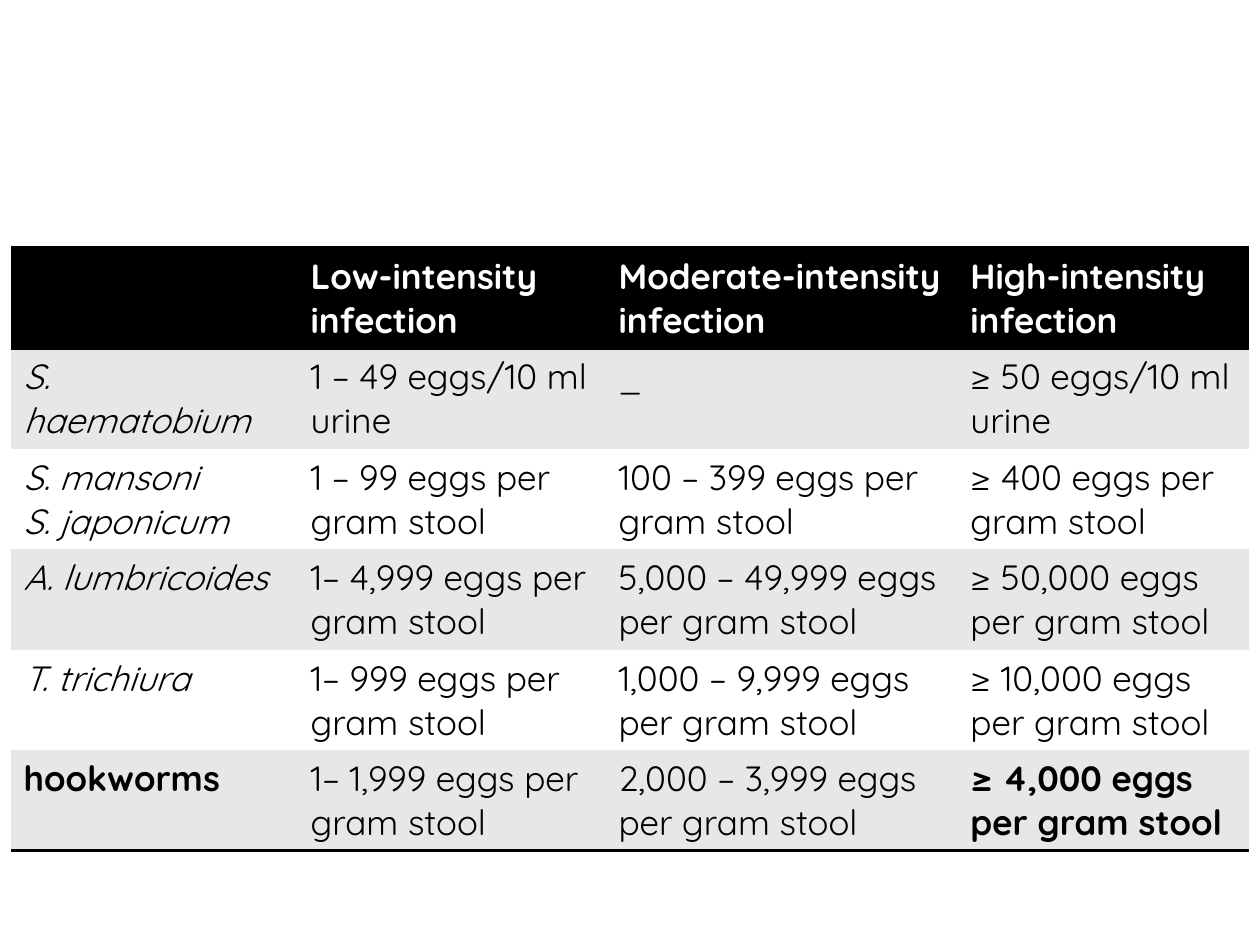
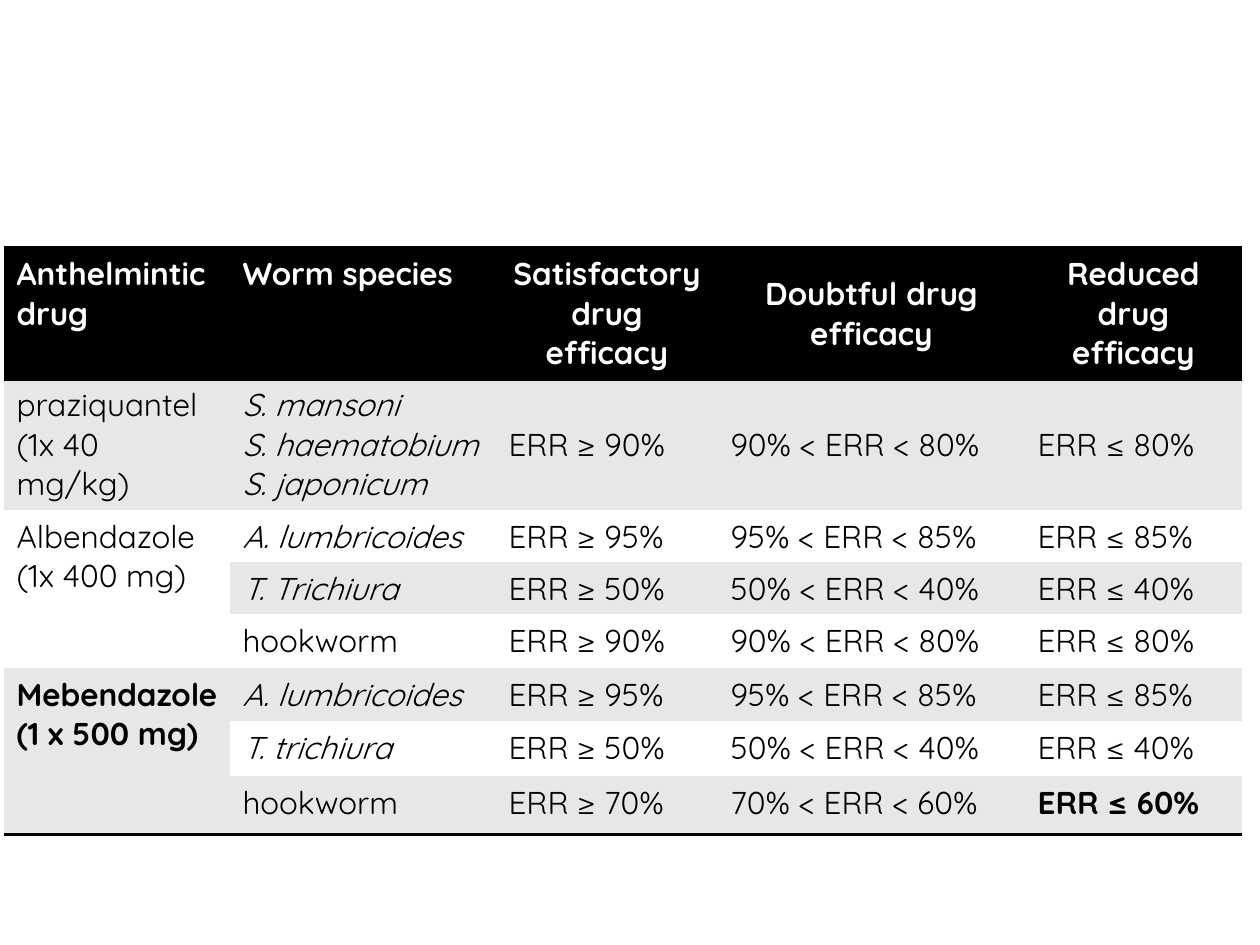
from dataclasses import dataclass

from lxml.etree import SubElement
from pptx import Presentation
from pptx.dml.color import RGBColor
from pptx.enum.text import MSO_ANCHOR as ANCHOR, PP_ALIGN as ALIGN
from pptx.oxml.ns import qn
from pptx.util import Emu, Pt

PX_PER_INCH = 126
FONT = "Quicksand"
COLORS = {"head": "000000", "head_text": "FFFFFF", "text": "000000",
          "band": "E7E7E7", "plain": "FFFFFF", "rule": "000000"}
RULE_WIDTH = Pt(2)
NO_STYLE = "{2D5ABB26-0587-4C30-8999-92F81FD0307C}"
TABLE_TOP = 248


@dataclass(frozen=True)
class Text:
    """Cell text; each line becomes a paragraph."""
    text: str
    bold: bool = False
    italic: bool = False


@dataclass(frozen=True)
class Grid:
    left: int
    height: int
    size: int
    cols: list[int]
    heights: list[int]
    rows: list[list[Text]]
    merges: tuple[tuple[int, int], ...] = ()  # first and last row in column 0
    middle_rows: int = 0  # leading rows with values anchored in the middle
    centred_from: int = 99  # first centred header column


def px(n: int) -> Emu:
    return Emu(round(n * 914400 / PX_PER_INCH))


def rgb(name: str) -> RGBColor:
    return RGBColor.from_string(COLORS[name])


def plain(*texts: str) -> list[Text]:
    return [Text(t) for t in texts]


def head(*texts: str) -> list[Text]:
    return [Text(t, bold=True) for t in texts]


def species(name: str) -> Text:
    return Text(name, italic=True)


def efficacy(high: int, low: int, stress: bool = False) -> list[Text]:
    """Satisfactory, doubtful and reduced egg reduction rates."""
    return [*plain(f"ERR ≥ {high}%", f"{high}% < ERR < {low}%"),
            Text(f"ERR ≤ {low}%", bold=stress)]


def add_rules(cell, sides: str) -> None:
    tc_pr = cell._tc.get_or_add_tcPr()
    for side in sides:
        ln = SubElement(tc_pr, qn(f"a:ln{side}"), w=str(RULE_WIDTH))
        fill = SubElement(ln, qn("a:solidFill"))
        SubElement(fill, qn("a:srgbClr"), val=COLORS["rule"])


def write(cell, item: Text, size: int, color: str, align: ALIGN) -> None:
    tf = cell.text_frame
    for i, line in enumerate(item.text.split("\n")):
        p = tf.add_paragraph() if i else tf.paragraphs[0]
        p.alignment = align
        if not line:
            continue
        r = p.add_run()
        r.text = line
        r.font.name, r.font.size = FONT, Pt(size)
        r.font.bold, r.font.italic = item.bold, item.italic
        r.font.color.rgb = rgb(color)


def add_grid(prs, grid: Grid) -> None:
    s = prs.slides.add_slide(prs.slide_layouts[6])
    last = len(grid.rows) - 1
    frame = s.shapes.add_table(last + 1, len(grid.cols), px(grid.left),
                               px(TABLE_TOP), px(sum(grid.cols)), px(grid.height))
    table = frame.table
    table._tbl.tblPr.find(qn("a:tableStyleId")).text = NO_STYLE
    for col, width in zip(table.columns, grid.cols):
        col.width = px(width)
    for row, height in zip(table.rows, grid.heights):
        row.height = px(height)
    frame.height = px(grid.height)

    merge_ends = dict(grid.merges)
    for r, items in enumerate(grid.rows):
        fill = "head" if r == 0 else "band" if r % 2 else "plain"
        for c, item in enumerate(items):
            cell = table.cell(r, c)
            bottom = merge_ends.get(r, r) if c == 0 else r
            if bottom > r:
                cell.merge(table.cell(bottom, c))
            add_rules(cell, "TB" if r == 0 else "B" if bottom == last else "")
            cell.fill.solid()
            cell.fill.fore_color.rgb = rgb(fill)
            if r < grid.middle_rows and c >= 2:
                cell.vertical_anchor = ANCHOR.MIDDLE
            centred = r == 0 and c >= grid.centred_from
            write(cell, item, grid.size, "text" if r else "head_text",
                  ALIGN.CENTER if centred else ALIGN.LEFT)
    for _, end in grid.merges:
        if end == last:
            add_rules(table.cell(end, 0), "B")


INTENSITY = Grid(
    left=11, height=580, size=20, cols=[287, 308, 352, 291], heights=[52] * 6,
    rows=[
        head("", "Low-intensity infection", "Moderate-intensity infection",
             "High-intensity infection"),
        [species("S. haematobium"),
         *plain("1 – 49 eggs/10 ml urine", "_", "≥ 50 eggs/10 ml urine")],
        [species("S. mansoni\nS. japonicum"),
         *plain("1 – 99 eggs per gram stool", "100 – 399 eggs per gram stool",
                "≥ 400 eggs per gram stool")],
        [species("A. lumbricoides"),
         *plain("1– 4,999 eggs per gram stool", "5,000 – 49,999 eggs per gram stool",
                "≥ 50,000 eggs per gram stool")],
        [species("T. trichiura"),
         *plain("1– 999 eggs per gram stool", "1,000 – 9,999 eggs per gram stool",
                "≥ 10,000 eggs per gram stool")],
        [Text("hookworms", bold=True),
         *plain("1– 1,999 eggs per gram stool", "2,000 – 3,999 eggs per gram stool"),
         Text("≥ 4,000 eggs per gram stool", bold=True)],
    ])

MERGED = Text("")
EFFICACY = Grid(
    left=4, height=535, size=18, cols=[226, 266, 222, 307, 217],
    heights=[52, 52, 44, 47, 54, 53, 55, 58],
    merges=((2, 4), (5, 7)), middle_rows=2, centred_from=2,
    rows=[
        head("Anthelmintic drug", "Worm species", "Satisfactory drug efficacy",
             "Doubtful drug efficacy", "Reduced drug efficacy"),
        [Text("praziquantel (1x 40 mg/kg)"),
         species("S. mansoni\nS. haematobium\nS. japonicum"), *efficacy(90, 80)],
        [Text("Albendazole\n(1x 400 mg)"), species("A. lumbricoides"), *efficacy(95, 85)],
        [MERGED, species("T. Trichiura"), *efficacy(50, 40)],
        [MERGED, Text("hookworm"), *efficacy(90, 80)],
        [Text("Mebendazole\n(1 x 500 mg)", bold=True), species("A. lumbricoides"),
         *efficacy(95, 85)],
        [MERGED, species("T. trichiura"), *efficacy(50, 40)],
        [MERGED, Text("hookworm"), *efficacy(70, 60, stress=True)],
    ])


def main() -> None:
    prs = Presentation()
    prs.slide_width, prs.slide_height = px(1260), px(945)
    for grid in (INTENSITY, EFFICACY):
        add_grid(prs, grid)
    prs.save("out.pptx")


if __name__ == "__main__":
    main()
